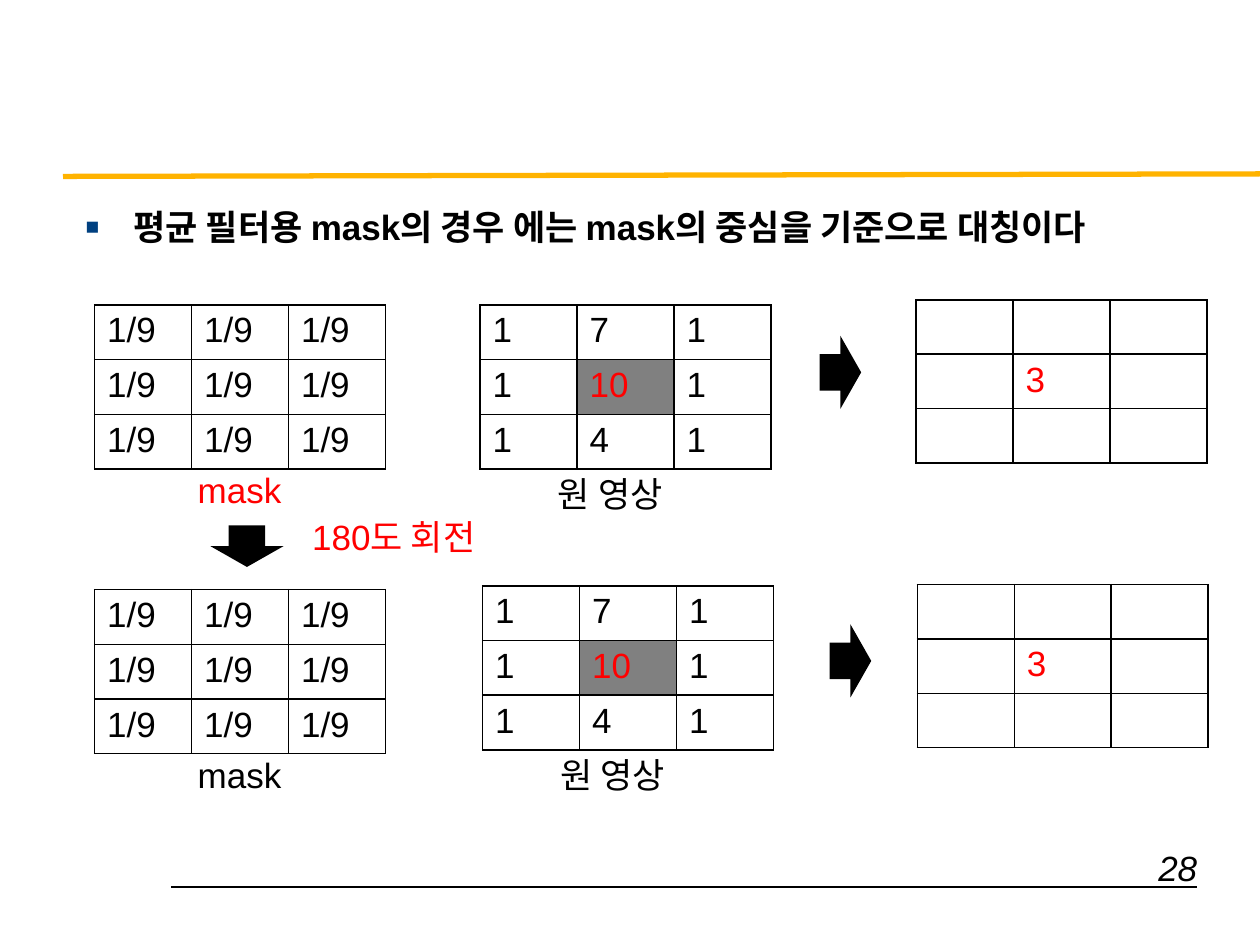
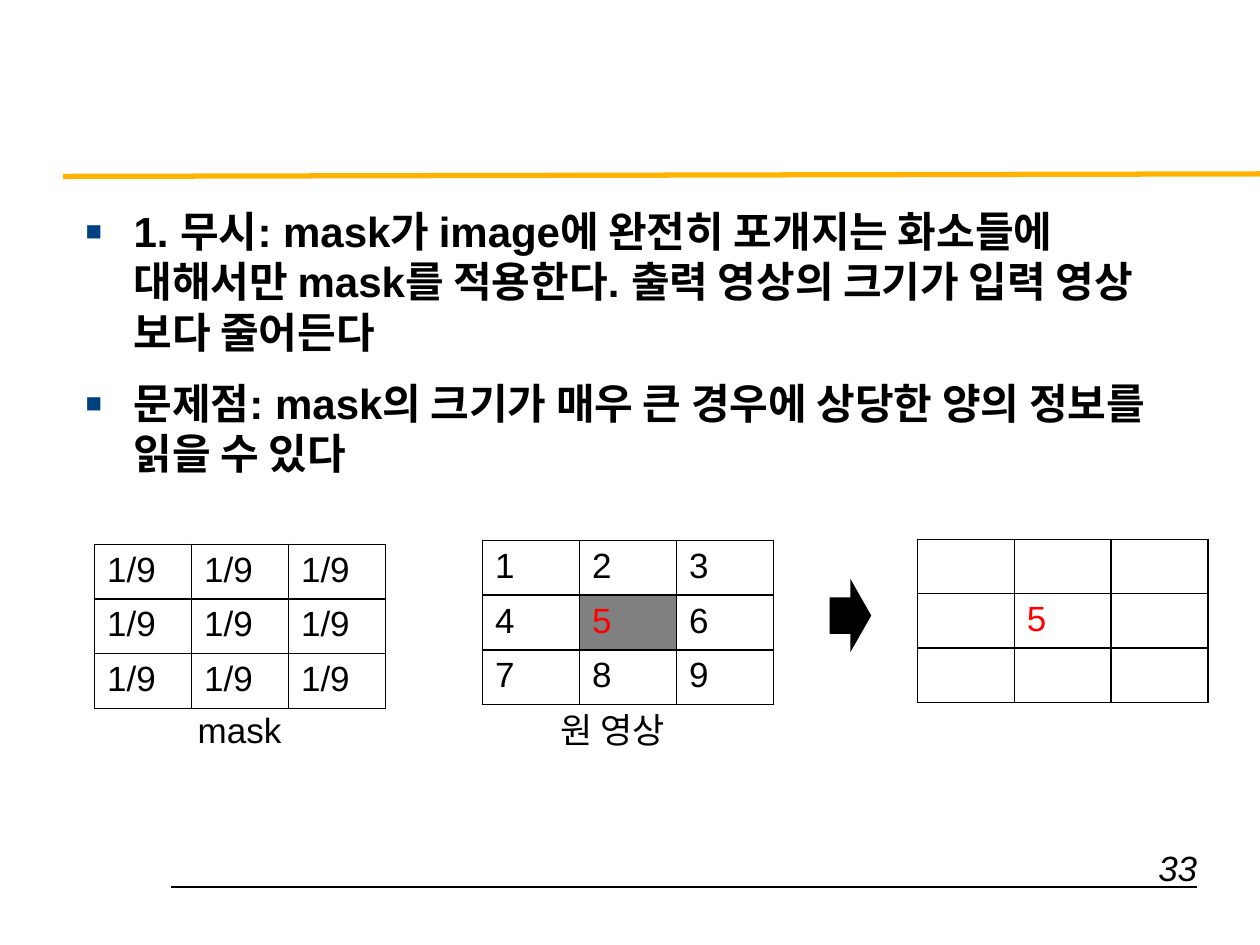
from dataclasses import dataclass
from lxml.etree import SubElement
from pptx import Presentation
from pptx.dml.color import RGBColor
from pptx.enum.shapes import MSO_CONNECTOR, MSO_SHAPE
from pptx.enum.text import MSO_ANCHOR, MSO_AUTO_SIZE, PP_ALIGN
from pptx.oxml.ns import qn
from pptx.util import Inches, Pt


@dataclass(frozen=True)
class Theme:
    font: str = "Arial"
    ink: str = "000000"
    red: str = "FF0000"
    gray: str = "808080"
    gold: str = "FFB300"
    navy: str = "004080"
    text: int = 20
    large: int = 24


T = Theme()

# Content: grids are three rows of three values
MASK = [["1/9"] * 3] * 3
PEAK = [["1", "7", "1"], ["1", "10", "1"], ["1", "4", "1"]]
COUNT = [["1", "2", "3"], ["4", "5", "6"], ["7", "8", "9"]]


def result(value):
    return [[""] * 3, ["", value, ""], [""] * 3]


# Each slide: grids (left, top, row height, values, marked centre),
# labels (left, top, width, text, colour), arrows (left, top, turn)
SLIDES = [
    dict(
        page="28", size=T.text,
        points=["평균 필터용 mask의 경우 에는 mask의 중심을 기준으로 대칭이다"],
        grids=[
            (0.75, 2.42, 0.41, MASK, False),
            (3.81, 2.42, 0.43, PEAK, True),
            (7.27, 2.38, 0.43, result("3"), False),
            (0.75, 4.68, 0.43, MASK, False),
            (3.83, 4.65, 0.43, PEAK, True),
            (7.28, 4.64, 0.43, result("3"), False),
        ],
        labels=[
            (1.47, 3.67, 0.87, "mask", T.red),
            (4.33, 3.7, 1.12, "원 영상", T.ink),
            (2.38, 4.04, 1.67, "180도 회전", T.red),
            (1.47, 5.93, 0.87, "mask", T.ink),
            (4.35, 5.93, 1.12, "원 영상", T.ink),
        ],
        arrows=[(6.38, 2.79, 270), (1.67, 4.17, 0), (6.46, 5.08, 270)],
    ),
    dict(
        page="33", size=T.large,
        points=[
            "1. 무시: mask가 image에 완전히 포개지는 화소들에 대해서만 mask를 "
            "적용한다. 출력 영상의 크기가 입력 영상 보다 줄어든다",
            "문제점: mask의 크기가 매우 큰 경우에 상당한 양의 정보를 읽을 수 있다",
        ],
        grids=[
            (0.75, 4.32, 0.43, MASK, False),
            (3.83, 4.29, 0.41, COUNT, True),
            (7.28, 4.28, 0.43, result("5"), False),
        ],
        labels=[
            (1.47, 5.57, 0.87, "mask", T.ink),
            (4.35, 5.57, 1.12, "원 영상", T.ink),
        ],
        arrows=[(6.46, 4.72, 270)],
    ),
]

# Shared lines: from, to, colour, width
RULES = [
    ((1.36, 7.04), (9.5, 7.04), T.ink, 0.75),
    ((0.5, 1.4), (10, 1.38), T.gold, 3),
]
COL = 0.77


def rgb(code):
    return RGBColor.from_string(code)


def style(para, color=T.ink, size=T.text, bold=False, italic=False):
    for run in para.runs:
        font = run.font
        font.name, font.size = T.font, Pt(size)
        font.bold, font.italic = bold, italic
        font.color.rgb = rgb(color)


def add_rule(slide, start, end, color, width):
    ends = [Inches(n) for n in start + end]
    rule = slide.shapes.add_connector(MSO_CONNECTOR.STRAIGHT, *ends)
    rule.line.color.rgb = rgb(color)
    rule.line.width = Pt(width)
    SubElement(rule.element.spPr, qn("a:effectLst"))
    return rule


def add_points(slide, points, size):
    body = slide.placeholders[1]
    body.left, body.top = Inches(0.58), Inches(1.58)
    body.width, body.height = Inches(9.12), Inches(4.54)
    frame = body.text_frame
    frame.text = "\n".join(points)
    frame.auto_size = MSO_AUTO_SIZE.NONE
    frame.vertical_anchor = MSO_ANCHOR.TOP
    for para in frame.paragraphs:
        style(para, size=size, bold=True)
        para.space_before = Pt(size / 2)
        # Square bullet with a hanging indent
        props = para._p.get_or_add_pPr()
        props.set("marL", str(Inches(0.38)))
        props.set("indent", str(-Inches(0.38)))
        tint = SubElement(props, qn("a:buClr"))
        SubElement(tint, qn("a:srgbClr"), val=T.navy)
        SubElement(props, qn("a:buSzPct"), val="65000")
        SubElement(props, qn("a:buFont"), typeface=T.font)
        SubElement(props, qn("a:buChar"), char="■")


def add_text(slide, left, top, width, height, text):
    box = slide.shapes.add_textbox(*map(Inches, (left, top, width, height)))
    box.text_frame.text = text
    return box.text_frame


def add_label(slide, left, top, width, text, color):
    frame = add_text(slide, left, top, width, 0.44, text)
    frame.word_wrap = False
    frame.auto_size = MSO_AUTO_SIZE.SHAPE_TO_FIT_TEXT
    style(frame.paragraphs[0], color)


def add_page(slide, page):
    frame = add_text(slide, 7.42, 6.67, 2.18, 0.38, page)
    frame.word_wrap = True
    frame.paragraphs[0].alignment = PP_ALIGN.RIGHT
    style(frame.paragraphs[0], italic=True)


def add_border(cell):
    props = cell._tc.get_or_add_tcPr()
    for i, side in enumerate(("lnL", "lnR", "lnT", "lnB")):
        line = props.makeelement(qn("a:" + side), {"w": str(Pt(1))})
        props.insert(i, line)
        fill = SubElement(line, qn("a:solidFill"))
        SubElement(fill, qn("a:srgbClr"), val=T.ink)


def add_grid(slide, left, top, step, rows, marked):
    place = map(Inches, (left, top, 3 * COL, 3 * step))
    table = slide.shapes.add_table(3, 3, *place).table
    table.first_row = table.horz_banding = False
    for col in table.columns:
        col.width = Inches(COL)
    for r, values in enumerate(rows):
        table.rows[r].height = Inches(step)
        for c, value in enumerate(values):
            cell = table.cell(r, c)
            center = r == c == 1
            if value:
                cell.text_frame.text = value
                red = center and rows is not MASK
                style(cell.text_frame.paragraphs[0], T.red if red else T.ink)
            if center and marked:
                cell.fill.solid()
                cell.fill.fore_color.rgb = rgb(T.gray)
            else:
                cell.fill.background()
            add_border(cell)


def add_arrow(slide, left, top, turn):
    place = map(Inches, (left, top, 0.58, 0.33))
    arrow = slide.shapes.add_shape(MSO_SHAPE.DOWN_ARROW, *place)
    arrow.rotation = turn
    arrow.shadow.inherit = False
    arrow.fill.solid()
    arrow.fill.fore_color.rgb = rgb(T.ink)
    arrow.line.fill.background()


# Build
deck = Presentation()
deck.slide_width, deck.slide_height = Inches(10), Inches(7.5)
for data in SLIDES:
    slide = deck.slides.add_slide(deck.slide_layouts[1])
    title = slide.shapes.title.element
    title.getparent().remove(title)
    add_points(slide, data["points"], data["size"])
    add_page(slide, data["page"])
    for grid in data["grids"]:
        add_grid(slide, *grid)
    for label in data["labels"]:
        add_label(slide, *label)
    for arrow in data["arrows"]:
        add_arrow(slide, *arrow)

# Move the shared lines to the master
master = deck.slide_master.shapes.element
for i, spec_row in enumerate(RULES):
    rule = add_rule(deck.slides[0], *spec_row)
    rule.element.nvCxnSpPr.cNvPr.set("id", str(100 + i))
    master.append(rule.element)

deck.save("out.pptx")
